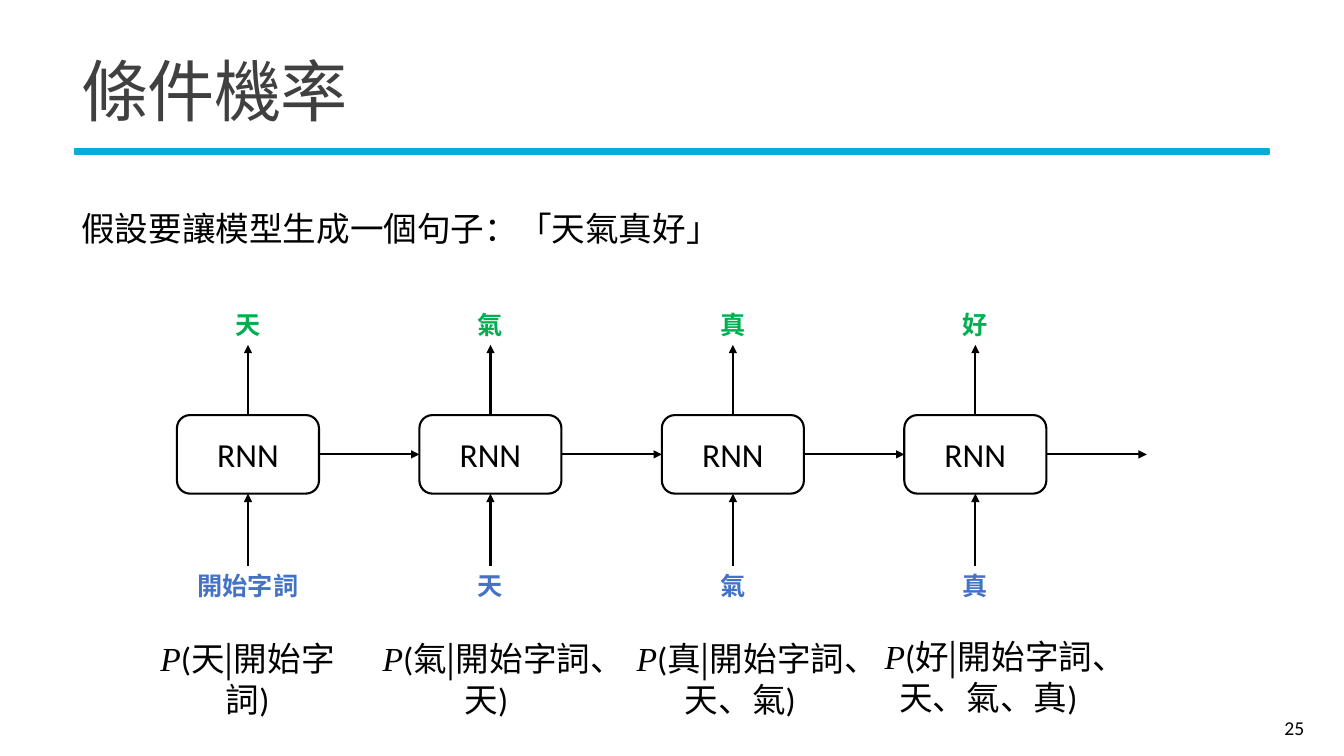
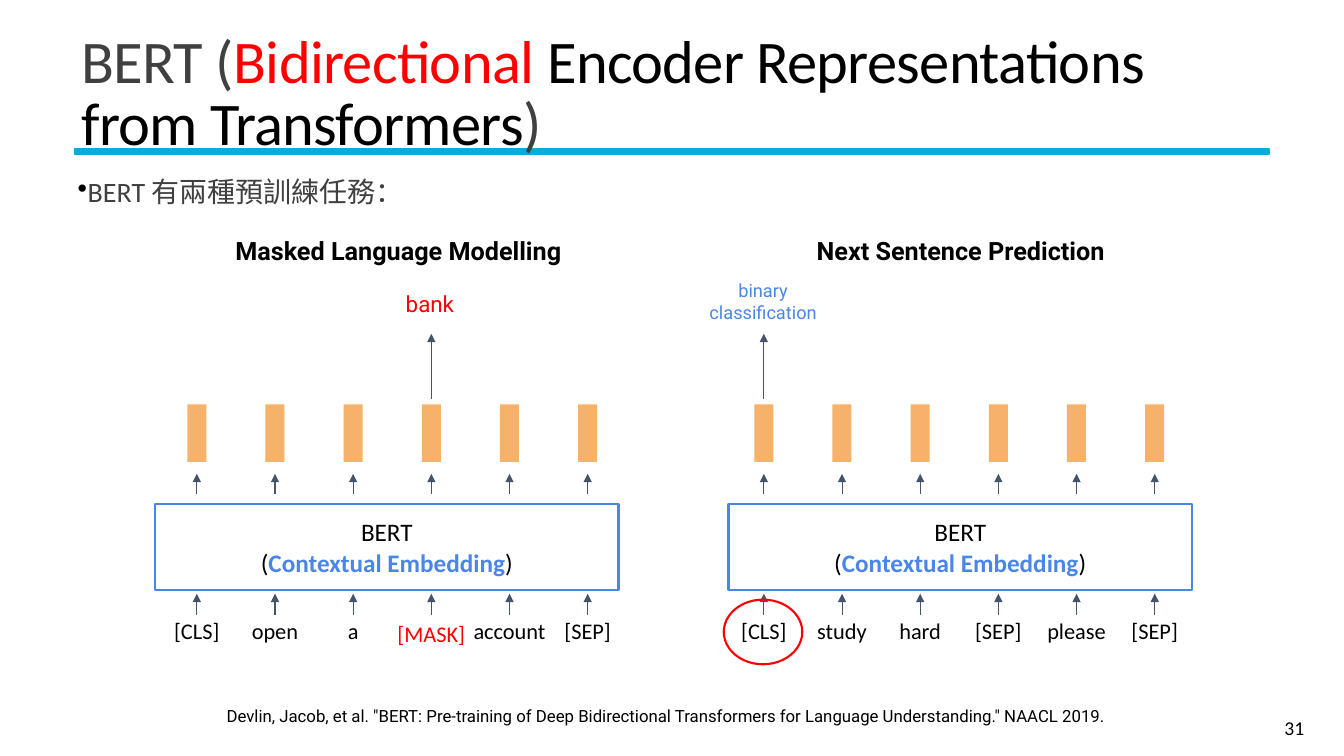
from dataclasses import dataclass

from lxml import etree
from pptx import Presentation
from pptx.dml.color import RGBColor
from pptx.enum.shapes import MSO_CONNECTOR, MSO_SHAPE
from pptx.enum.text import MSO_ANCHOR, PP_ALIGN
from pptx.oxml.ns import qn
from pptx.util import Cm, Pt

RECTANGLE, ROUNDED, OVAL = MSO_SHAPE.RECTANGLE, MSO_SHAPE.ROUNDED_RECTANGLE, MSO_SHAPE.OVAL
STRAIGHT = MSO_CONNECTOR.STRAIGHT
LEFT, CENTER, RIGHT = PP_ALIGN.LEFT, PP_ALIGN.CENTER, PP_ALIGN.RIGHT
TOP, MIDDLE = MSO_ANCHOR.TOP, MSO_ANCHOR.MIDDLE


class Theme:
    # Colours
    black, gray, red = "000000", "404040", "FF0000"
    band, green, blue = "05AED6", "00B050", "4472C4"
    sky, orange, slate = "4A86E8", "F6B26B", "44546A"
    # Fonts
    sans, chinese, roboto, serif = "Calibri", "Noto Sans CJK TC", "Roboto", "Times New Roman"
    # Type sizes
    title, long_title, large, body, label = 48, 43.2, 24, 20, 18
    token, page, note, citation = 16, 14, 13, 12


@dataclass
class Span:
    """A piece of text with one look."""
    text: str
    color: str = Theme.black
    font: str = Theme.sans
    bold: bool = False
    italic: bool = False


class Deck:
    def __init__(self):
        self.presentation = Presentation()
        self.presentation.slide_width = Cm(33.87)
        self.presentation.slide_height = Cm(19.05)
        self.slide = None

    def new_slide(self, title, number, title_size=Theme.title):
        """Add a slide with the shared band, title and page number."""
        self.slide = self.presentation.slides.add_slide(self.presentation.slide_layouts[6])
        self.shape(RECTANGLE, 1.88, 3.76, 30.1, 0.13, fill=Theme.band, line=Theme.band, weight=1.25)
        frame = self.text(1.8, 0.99, 30.33, 2.87, [title], title_size, LEFT, MIDDLE)
        paragraph = frame.paragraphs[0]
        paragraph.line_spacing = 0.85
        for run in paragraph.runs:
            run._r.get_or_add_rPr().set("spc", "-50")
        self.text(29.49, 17.83, 3.63, 1.02, [[Span(str(number))]], Theme.page, RIGHT, MIDDLE)

    def fill_frame(self, frame, paragraphs, size, align, anchor):
        """Fill a text frame; each paragraph is a list of spans."""
        frame.word_wrap = True
        frame.vertical_anchor = anchor
        for index, spans in enumerate(paragraphs):
            paragraph = frame.add_paragraph() if index else frame.paragraphs[0]
            paragraph.alignment = align
            for span in spans:
                run = paragraph.add_run()
                run.text = span.text
                font = run.font
                font.size, font.name = Pt(size), span.font
                font.bold, font.italic = span.bold, span.italic
                font.color.rgb = RGBColor.from_string(span.color)
                etree.SubElement(run._r.get_or_add_rPr(), qn("a:ea"), typeface=Theme.chinese)

    def text(self, left, top, width, height, paragraphs, size, align=CENTER, anchor=TOP, inset=0.13):
        """Add a text box; inset is the margin above and below."""
        box = self.slide.shapes.add_textbox(Cm(left), Cm(top), Cm(width), Cm(height))
        frame = box.text_frame
        frame.margin_top = frame.margin_bottom = Cm(inset)
        self.fill_frame(frame, paragraphs, size, align, anchor)
        return frame

    def shape(self, kind, left, top, width, height, fill=None, line=None, weight=1.5,
              paragraphs=(), size=Theme.large):
        shape = self.slide.shapes.add_shape(kind, Cm(left), Cm(top), Cm(width), Cm(height))
        shape.shadow.inherit = False
        if fill:
            shape.fill.solid()
            shape.fill.fore_color.rgb = RGBColor.from_string(fill)
        else:
            shape.fill.background()
        if line:
            shape.line.color.rgb = RGBColor.from_string(line)
            shape.line.width = Pt(weight)
        else:
            shape.line.fill.background()
        self.fill_frame(shape.text_frame, paragraphs, size, CENTER, MIDDLE)

    def arrow(self, x1, y1, x2, y2, color=Theme.black, weight=1.5):
        connector = self.slide.shapes.add_connector(STRAIGHT, Cm(x1), Cm(y1), Cm(x2), Cm(y2))
        connector.line.color.rgb = RGBColor.from_string(color)
        connector.line.width = Pt(weight)
        properties = connector._element.spPr
        etree.SubElement(properties.find(qn("a:ln")), qn("a:tailEnd"), type="triangle")
        etree.SubElement(properties, qn("a:effectLst"))

    def bullet(self, left, top, width, height, span, size):
        """Add a one-item bullet list."""
        frame = self.text(left, top, width, height, [[span]], size, LEFT)
        frame.margin_left = frame.margin_right = 0
        paragraph = frame.paragraphs[0]
        properties = paragraph._p.get_or_add_pPr()
        properties.set("marL", str(Cm(0.25)))
        properties.set("indent", str(Cm(-0.99)))
        color = etree.SubElement(properties, qn("a:buClr"))
        etree.SubElement(color, qn("a:srgbClr"), val=Theme.black)
        etree.SubElement(properties, qn("a:buChar"), char="•")
        paragraph.line_spacing = 0.9


def conditional_probability(deck):
    deck.new_slide([Span("條件機率", Theme.gray, Theme.chinese)], 25)
    intro = Span("假設要讓模型生成一個句子：「天氣真好」", font=Theme.chinese)
    deck.text(1.8, 5.1, 18.24, 1.27, [[intro]], Theme.large, LEFT)

    # One step per generated word: input, output, condition, formula position
    steps = [
        ("開始字詞", "天", "開始字詞", 3.28, 15.95),
        ("天", "氣", "開始字詞、天", 9.3, 15.95),
        ("氣", "真", "開始字詞、天、氣", 15.7, 15.95),
        ("真", "好", "開始字詞、天、氣、真", 21.95, 15.9),
    ]
    first_center, pitch = 6.25, 6.11
    cell_width, cell_height, cell_top = 3.58, 1.98, 10.46
    cell_bottom, label_width = cell_top + cell_height, 3.15
    input_top, output_top, output_bottom = 14.25, 7.67, 8.69
    for index, (source, word, condition, formula_left, formula_top) in enumerate(steps):
        center = first_center + index * pitch
        left, right = center - cell_width / 2, center + cell_width / 2
        middle = cell_top + cell_height / 2
        deck.shape(ROUNDED, left, cell_top, cell_width, cell_height, line=Theme.black,
                   paragraphs=[[Span("RNN")]])
        deck.arrow(center, input_top, center, cell_bottom)
        deck.arrow(center, cell_top, center, output_bottom)
        deck.arrow(right, middle, left + pitch, middle)
        for label, top, color in ((source, input_top, Theme.blue), (word, output_top, Theme.green)):
            deck.text(center - label_width / 2, top, label_width, 1.02,
                      [[Span(label, color, Theme.chinese, bold=True)]], Theme.label)
        formula = [Span("P", font=Theme.serif, italic=True), Span("("),
                   Span(f"{word}|{condition}", font=Theme.chinese), Span(")")]
        deck.text(formula_left, formula_top, 5.92, 2.31, [formula], Theme.large)


def bert_panel(deck, box_left, first_center, tokens, marked):
    """Draw one encoder with its tokens, vectors and one output arrow."""
    pitch, bar_width, token_width = 1.97, 0.48, 2.44
    name = [[Span("BERT")],
            [Span("("), Span("Contextual Embedding", Theme.sky, bold=True), Span(")")]]
    deck.shape(RECTANGLE, box_left, 12.7, 11.68, 2.16, line=Theme.sky,
               paragraphs=name, size=Theme.label)
    for index, token in enumerate(tokens):
        center = first_center + index * pitch
        deck.shape(RECTANGLE, center - bar_width / 2, 10.19, bar_width, 1.45, fill=Theme.orange)
        arrows = [(15.49, 14.96), (12.45, 11.94)]
        if index == marked:
            arrows.append((10.06, 8.41))
        for start, end in arrows:
            deck.arrow(center, start, center, end, Theme.slate, 0.75)
        masked = token == "[MASK]"
        deck.text(center - token_width / 2, 15.49 if masked else 15.42, token_width, 0.94,
                  [[Span(token, Theme.red if masked else Theme.black)]], Theme.token)


def bert_pretraining(deck):
    title = [Span("BERT (", Theme.gray), Span("Bidirectional ", Theme.red),
             Span("Encoder Representations from Transformers"), Span(")", Theme.gray)]
    deck.new_slide(title, 31, Theme.long_title)
    deck.bullet(1.96, 4.37, 27.94, 3.45, Span("BERT 有兩種預訓練任務：", Theme.gray), Theme.body)

    # The two training tasks
    bert_panel(deck, 3.91, 4.96, ["[CLS]", "open", "a", "[MASK]", "account", "[SEP]"], 3)
    bert_panel(deck, 18.36, 19.25, ["[CLS]", "study", "hard", "[SEP]", "please", "[SEP]"], 0)
    deck.shape(OVAL, 18.24, 15.11, 1.98, 1.63, line=Theme.red)

    # Headings, outputs and citation
    citation = ('Devlin, Jacob, et al. "BERT: Pre-training of Deep Bidirectional Transformers '
                'for Language Understanding." NAACL 2019.')
    notes = [
        (5.66, 5.69, 8.76, 1.27, "Masked Language Modelling", Theme.label, Theme.black, True, CENTER),
        (20.07, 5.69, 8.28, 1.27, "Next Sentence Prediction", Theme.label, Theme.black, True, CENTER),
        (9.78, 7.06, 2.11, 1.19, "bank", Theme.token, Theme.red, False, CENTER),
        (17.58, 6.78, 3.3, 1.63, "binary classification", Theme.note, Theme.sky, False, CENTER),
        (5.46, 17.53, 22.99, 1.02, citation, Theme.citation, Theme.black, False, LEFT),
    ]
    for left, top, width, height, words, size, color, bold, align in notes:
        deck.text(left, top, width, height, [[Span(words, color, Theme.roboto, bold)]],
                  size, align, inset=0.25)


def main():
    deck = Deck()
    conditional_probability(deck)
    bert_pretraining(deck)
    deck.presentation.save("out.pptx")


if __name__ == "__main__":
    main()
